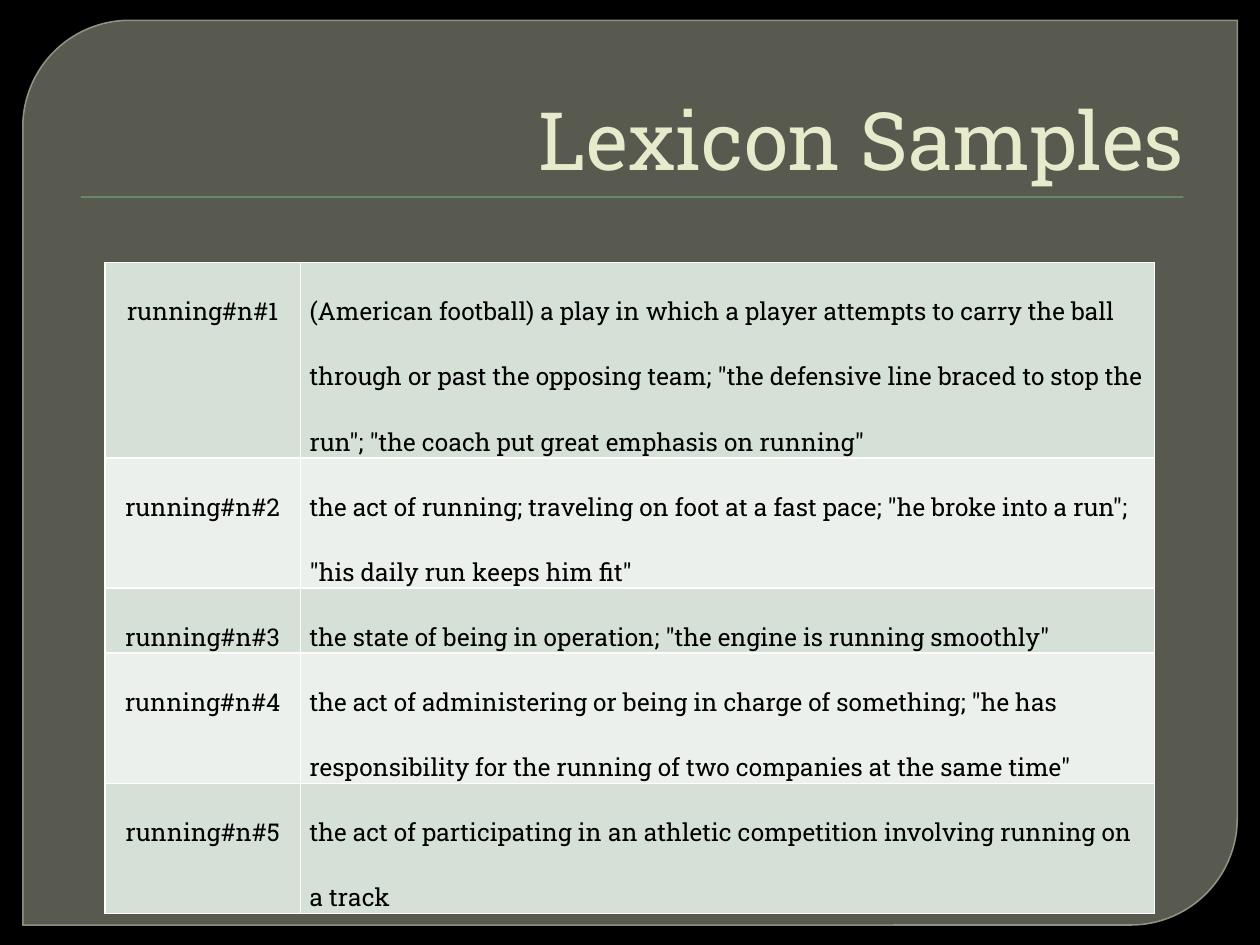
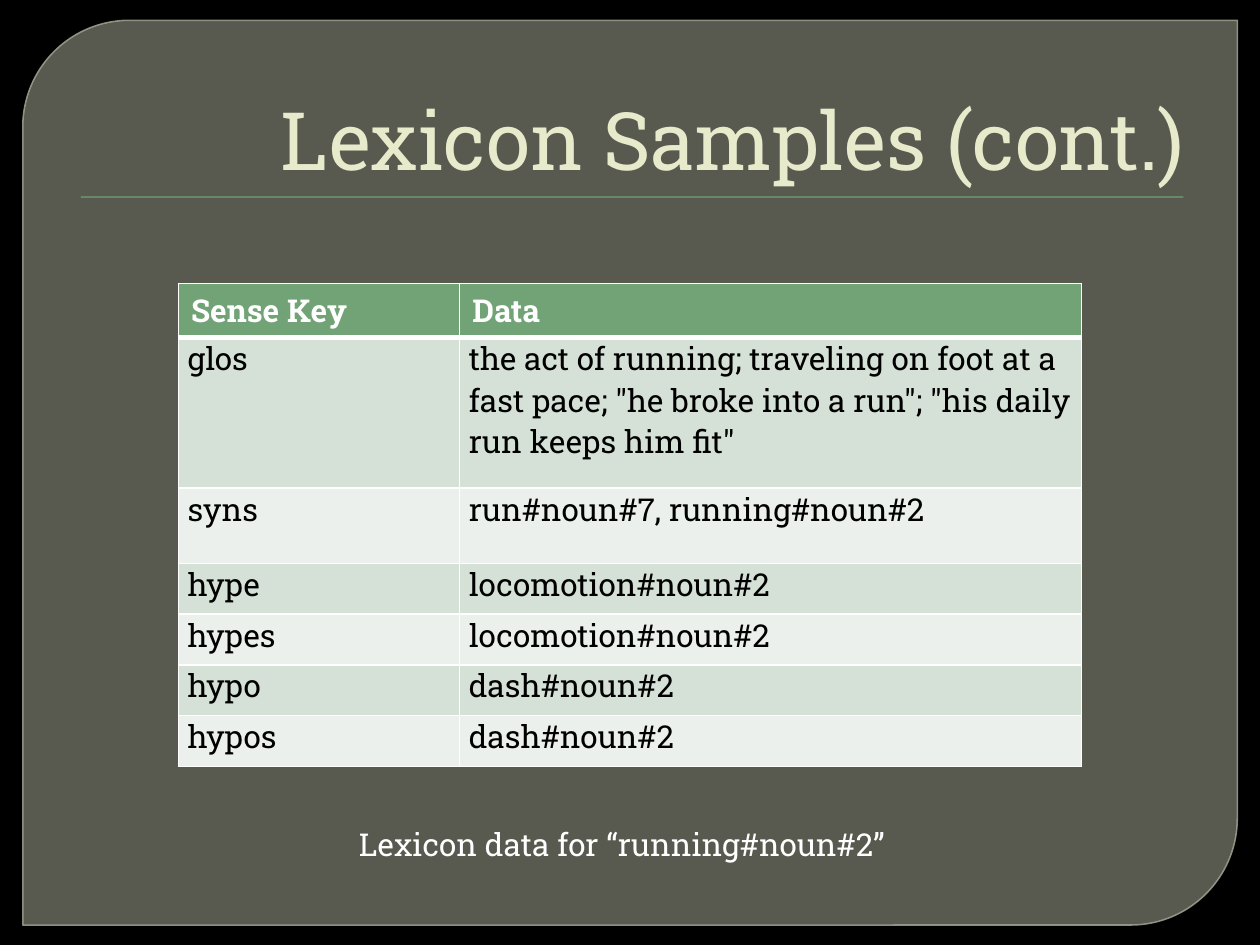
from dataclasses import dataclass

from lxml import etree
from pptx import Presentation
from pptx.dml.color import RGBColor
from pptx.enum.shapes import MSO_SHAPE
from pptx.enum.text import MSO_ANCHOR, MSO_AUTO_SIZE, PP_ALIGN
from pptx.oxml import parse_xml
from pptx.oxml.ns import nsdecls, qn
from pptx.util import Pt

PANEL_SHAPE, RULE_SHAPE = MSO_SHAPE.ROUND_2_DIAG_RECTANGLE, MSO_SHAPE.RECTANGLE
LEFT, CENTER, RIGHT = PP_ALIGN.LEFT, PP_ALIGN.CENTER, PP_ALIGN.RIGHT
BOTTOM, NO_FIT = MSO_ANCHOR.BOTTOM, MSO_AUTO_SIZE.NONE
TITLE_ONLY = 5


@dataclass(frozen=True)
class Theme:
    font: str = "Roboto Slab"
    backdrop: str = "000000"
    panel: str = "888B7B"
    panel_edge: str = "9DA090"
    accent: str = "72A376"
    title: str = "E7EACB"
    bands: tuple = ("D5E0D6", "EBF0EC")
    ink: str = "000000"
    light: str = "FFFFFF"
    title_size: int = 46
    sense_size: int = 14
    data_size: int = 18


THEME = Theme()

# Content; lengths in points
SLIDES = [
    {
        "title": "Lexicon Samples",
        "at": (60, 150),
        "columns": (111.75, 488),
        "row_heights": (100.8, 65.5, 32.4, 65.5, 65.5),
        "size": THEME.sense_size,
        "spacing": 2.0,
        "key_align": CENTER,
        "rows": [
            ("running#n#1", '(American football) a play in which a player attempts to carry '
             'the ball through or past the opposing team; "the defensive line braced to stop '
             'the run"; "the coach put great emphasis on running"'),
            ("running#n#2", 'the act of running; traveling on foot at a fast pace; '
             '"he broke into a run"; "his daily run keeps him fit"'),
            ("running#n#3", 'the state of being in operation; "the engine is running smoothly"'),
            ("running#n#4", 'the act of administering or being in charge of something; "he has '
             'responsibility for the running of two companies at the same time"'),
            ("running#n#5", "the act of participating in an athletic competition involving "
             "running on a track"),
        ],
    },
    {
        "title": "Lexicon Samples (cont.)",
        "at": (102, 162),
        "columns": (160.75, 355.25),
        "row_heights": (29.2, 86, 43) + (29,) * 4,
        "size": THEME.data_size,
        "spacing": 1.0,
        "key_align": LEFT,
        "header": ("Sense Key", "Data"),
        "rows": [
            ("glos", 'the act of running; traveling on foot at a fast pace; '
             '"he broke into a run"; "his daily run keeps him fit"'),
            ("syns", "run#noun#7, running#noun#2"),
            ("hype", "locomotion#noun#2"),
            ("hypes", "locomotion#noun#2"),
            ("hypo", "dash#noun#2"),
            ("hypos", "dash#noun#2"),
        ],
        "caption": "Lexicon data for \u201crunning#noun#2\u201d",
    },
]


def rgb(color):
    return RGBColor.from_string(color)


def points(*lengths):
    return [Pt(length) for length in lengths]


def write(frame, text, size, color, align=LEFT, bold=False, spacing=None):
    paragraph = frame.paragraphs[0]
    paragraph.alignment = align
    if spacing:
        paragraph.line_spacing = spacing
    run = paragraph.add_run()
    run.text = text
    run.font.name, run.font.size, run.font.bold = THEME.font, Pt(size), bold
    run.font.color.rgb = rgb(color)


def set_alpha(fill_owner, percent):
    color = next(fill_owner.iter(qn("a:srgbClr")))
    etree.SubElement(color, qn("a:alpha"), val=str(percent * 1000))


def add_frame(slide):
    """Black backdrop, translucent panel and the rule under the title."""
    background = slide.background.fill
    background.solid()
    background.fore_color.rgb = rgb(THEME.backdrop)

    panel = slide.shapes.add_shape(PANEL_SHAPE, *points(13, 11.6, 694, 517))
    panel.adjustments[0], panel.adjustments[1] = 0.118, 0
    panel.shadow.inherit = False
    panel.fill.solid()
    panel.fill.fore_color.rgb = rgb(THEME.panel)
    panel.line.color.rgb = rgb(THEME.panel_edge)
    panel.line.width = Pt(0.87)
    properties = panel.element.spPr
    set_alpha(properties.find(qn("a:solidFill")), 65)
    set_alpha(properties.find(qn("a:ln")), 88)

    rule = slide.shapes.add_shape(RULE_SHAPE, *points(46.2, 112.2, 630, 0.72))
    rule.shadow.inherit = False
    rule.fill.solid()
    rule.fill.fore_color.rgb = rgb(THEME.accent)
    rule.line.fill.background()
    rule.element.spPr.find(qn("a:effectLst")).append(parse_xml(
        f'<a:outerShdw {nsdecls("a")} blurRad="12700" dist="12700" dir="5400000">'
        '<a:srgbClr val="000000"><a:alpha val="75000"/></a:srgbClr></a:outerShdw>'))


def add_title(slide, text):
    title = slide.shapes.title
    title.left, title.top, title.width, title.height = points(36, 20, 648, 90)
    frame = title.text_frame
    frame.word_wrap, frame.auto_size, frame.vertical_anchor = True, NO_FIT, BOTTOM
    write(frame, text, THEME.title_size, THEME.title, RIGHT)
    slide.shapes.element.append(title.element)  # in front of the panel


def style_cell(cell, fill, top=1, bottom=1):
    properties = cell._tc.get_or_add_tcPr()
    for side, width in (("L", 1), ("R", 1), ("T", top), ("B", bottom)):
        properties.append(parse_xml(
            f'<a:ln{side} {nsdecls("a")} w="{Pt(width)}"><a:solidFill>'
            f'<a:srgbClr val="{THEME.light}"/></a:solidFill></a:ln{side}>'))
    cell.fill.solid()
    cell.fill.fore_color.rgb = rgb(fill)


def add_sense_table(slide, content):
    header = content.get("header")
    columns, heights = content["columns"], content["row_heights"]
    table = slide.shapes.add_table(
        len(heights), len(columns),
        *points(*content["at"], sum(columns), sum(heights))).table
    table.first_row, table.horz_banding = bool(header), False
    for column, width in zip(table.columns, columns):
        column.width = Pt(width)
    for row, height in zip(table.rows, heights):
        row.height = Pt(height)

    # Header row with a heavy lower border
    if header:
        for cell, text in zip(table.rows[0].cells, header):
            style_cell(cell, THEME.accent, bottom=3)
            write(cell.text_frame, text, content["size"], THEME.light, bold=True)

    # Banded sense rows
    first = 1 if header else 0
    for index, texts in enumerate(content["rows"]):
        cells = table.rows[index + first].cells
        for cell, text, align in zip(cells, texts, (content["key_align"], LEFT)):
            cell.margin_left = cell.margin_right = Pt(5.2)
            cell.margin_top = cell.margin_bottom = 0
            style_cell(cell, THEME.bands[index % 2], top=3 if header and index == 0 else 1)
            write(cell.text_frame, text, content["size"], THEME.ink, align,
                  spacing=content["spacing"])


def add_caption(slide, text):
    caption = slide.shapes.add_textbox(*points(198, 468, 324, 29))
    caption.text_frame.word_wrap = True
    write(caption.text_frame, text, THEME.data_size, THEME.light)


deck = Presentation()
deck.slide_width, deck.slide_height = points(720, 540)
for content in SLIDES:
    slide = deck.slides.add_slide(deck.slide_layouts[TITLE_ONLY])
    add_frame(slide)
    add_title(slide, content["title"])
    add_sense_table(slide, content)
    if "caption" in content:
        add_caption(slide, content["caption"])
deck.save("out.pptx")
